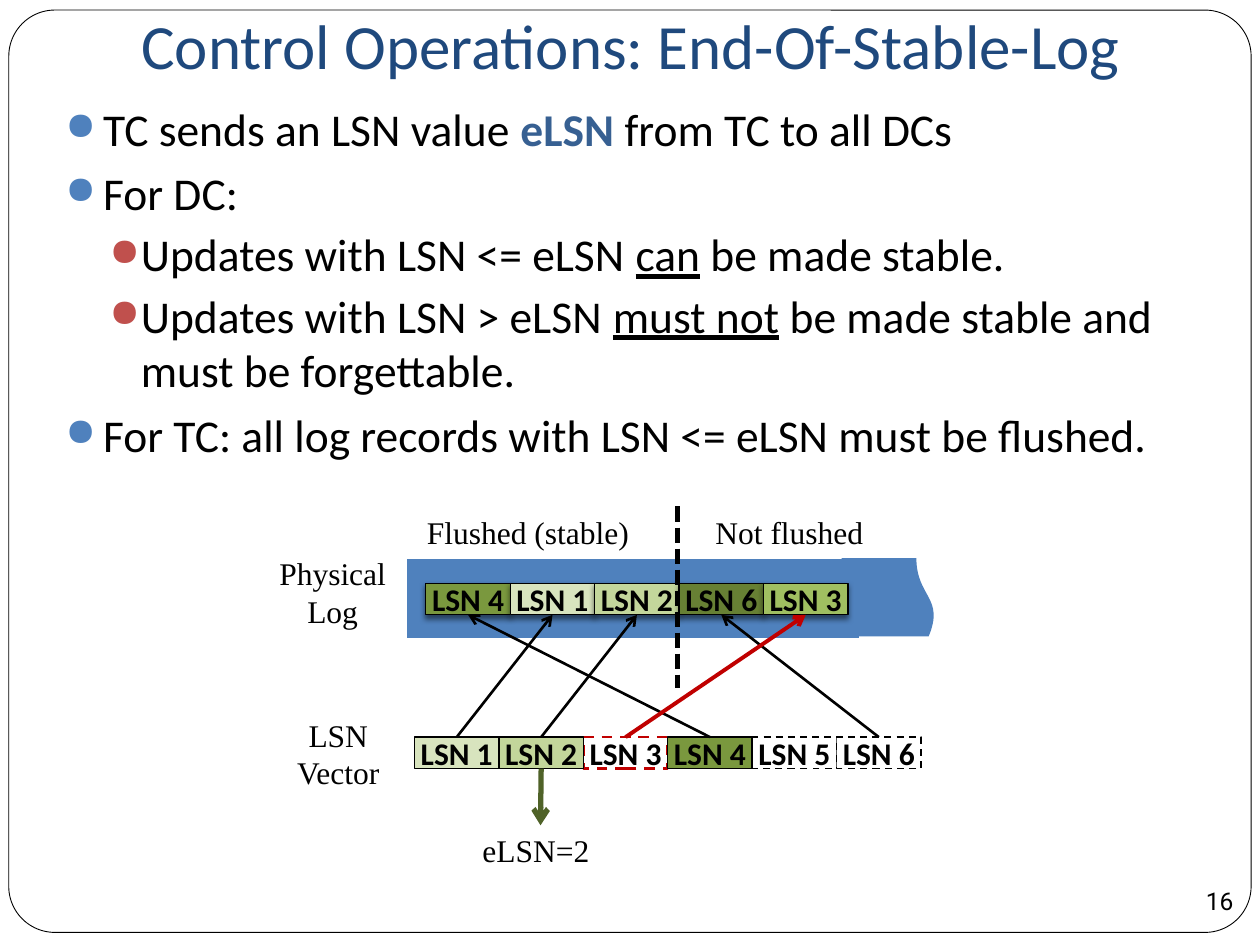
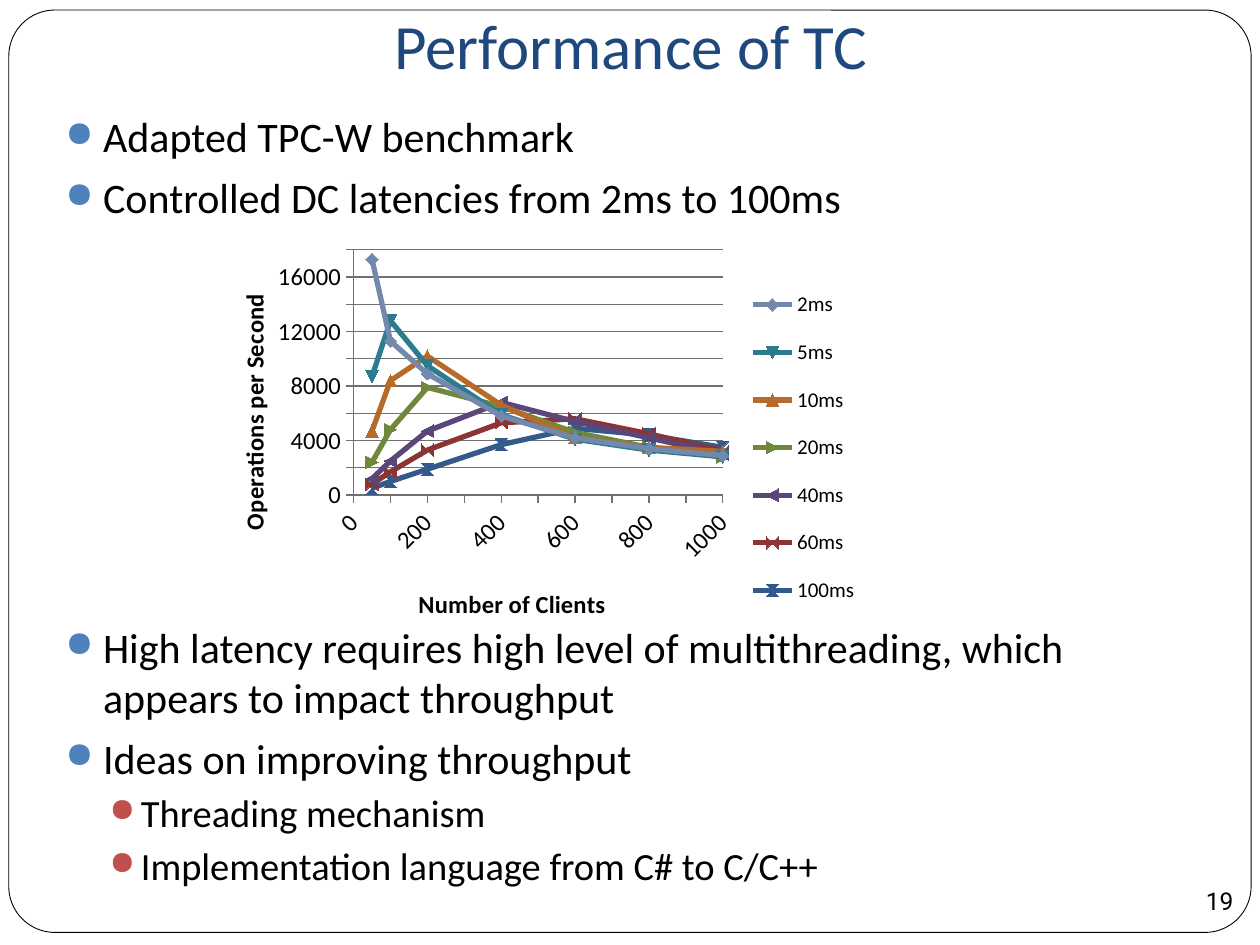
from lxml.etree import SubElement
from pptx import Presentation
from pptx.chart.data import XyChartData
from pptx.dml.color import RGBColor
from pptx.enum.chart import XL_CHART_TYPE, XL_LEGEND_POSITION, XL_MARKER_STYLE, XL_TICK_MARK
from pptx.enum.dml import MSO_LINE
from pptx.enum.shapes import MSO_CONNECTOR, MSO_SHAPE
from pptx.enum.text import MSO_ANCHOR, PP_ALIGN
from pptx.oxml import parse_xml
from pptx.oxml.ns import nsdecls, qn
from pptx.util import Inches, Pt

COLORS = {
    "white": "FFFFFF", "black": "000000", "title": "1F497D", "term": "376092",
    "blue": "4F81BD", "red": "C0504D", "alert": "C00000", "stable": "4F6228",
    "grid": "707070", "lsn1": "D8E4BE", "lsn2": "C3D69B", "lsn3": "A0BF61",
    "lsn4": "7A983E", "lsn6": "678034",
    "2ms": "7288AC", "5ms": "2C7C8F", "10ms": "B66A2B", "20ms": "70883C",
    "40ms": "5B4679", "60ms": "8C3434", "100ms": "345A8C",
}
BODY_FONT, NUMBER_FONT, LABEL_FONT = "Calibri", "Roboto", "Times New Roman"
CELL_W, CELL_H = 0.67, 0.25
BULLETS = [(0.3, -0.3, 5.8, "blue"), (0.6, -0.25, 3.7, "red")]

CLIENTS = [50, 100, 200, 400, 600, 800, 1000]
THROUGHPUT = {
    "2ms": [17300, 11300, 8900, 5800, 4200, 3400, 2900],
    "5ms": [8700, 12800, 9500, 5900, 4100, 3300, 2800],
    "10ms": [4700, 8400, 10200, 6600, 4200, 3500, 3200],
    "20ms": [2400, 4800, 7900, 6500, 4600, 3500, 2800],
    "40ms": [1200, 2500, 4700, 6800, 5400, 4200, 3000],
    "60ms": [800, 1700, 3300, 5300, 5600, 4500, 3200],
    "100ms": [500, 1000, 1900, 3700, 4900, 4400, 3500],
}


def rgb(name):
    """Return a palette colour."""
    return RGBColor.from_string(COLORS[name])


def add_run(paragraph, text, size, font=BODY_FONT, color="black", bold=False, underline=False):
    """Append one formatted run."""
    run = paragraph.add_run()
    run.text = text
    run.font.size = Pt(size)
    run.font.name = font
    run.font.bold = bold
    run.font.underline = underline
    run.font.color.rgb = rgb(color)


def add_box(slide, preset, left, top, width, height, fill=None, line=None, weight=0.75):
    """Add a flat preset shape without margins."""
    box = slide.shapes.add_shape(preset, Inches(left), Inches(top), Inches(width), Inches(height))
    box.shadow.inherit = False
    if fill:
        box.fill.solid()
        box.fill.fore_color.rgb = rgb(fill)
    else:
        box.fill.background()
    if line:
        box.line.color.rgb = rgb(line)
        box.line.width = Pt(weight)
    else:
        box.line.fill.background()
    frame = box.text_frame
    frame.margin_left = frame.margin_right = frame.margin_top = frame.margin_bottom = 0
    frame.vertical_anchor = MSO_ANCHOR.MIDDLE
    frame.paragraphs[0].alignment = PP_ALIGN.CENTER
    return box


def add_text_box(slide, left, top, width, height, wrap=True):
    """Add an empty text box."""
    box = slide.shapes.add_textbox(Inches(left), Inches(top), Inches(width), Inches(height))
    box.text_frame.word_wrap = wrap
    return box


def add_label(slide, text, left, top, width, height=0.4, wrap=False):
    """Add a serif diagram label, centred when it wraps."""
    label = add_text_box(slide, left, top, width, height, wrap)
    paragraph = label.text_frame.paragraphs[0]
    paragraph.alignment = PP_ALIGN.CENTER if wrap else PP_ALIGN.LEFT
    add_run(paragraph, text, 18, LABEL_FONT)
    return label


def add_line(slide, start, end, color="black", weight=1.5, arrow=True):
    """Draw a straight line between two (x, y) points."""
    points = [Inches(value) for value in (*start, *end)]
    line = slide.shapes.add_connector(MSO_CONNECTOR.STRAIGHT, *points)
    line.line.color.rgb = rgb(color)
    line.line.width = Pt(weight)
    if arrow:
        SubElement(line.line._get_or_add_ln(), qn("a:tailEnd"), type="arrow")
    SubElement(line._element.spPr, qn("a:effectLst"))
    return line


def join(slide, source, source_side, target, target_side, **style):
    """Draw an arrow joined to two shapes."""
    arrow = add_line(slide, (0, 0), (1, 1), **style)
    arrow.begin_connect(source, source_side)
    arrow.end_connect(target, target_side)


def add_bullets(slide, left, top, width, height, items):
    """Fill a text box with (level, size, runs) bullet items."""
    frame = add_text_box(slide, left, top, width, height).text_frame
    for index, (level, size, runs) in enumerate(items):
        paragraph = frame.add_paragraph() if index else frame.paragraphs[0]
        margin, indent, before, color = BULLETS[level]
        properties = paragraph._p.get_or_add_pPr()
        properties.set("marL", str(Inches(margin)))
        properties.set("indent", str(Inches(indent)))
        SubElement(SubElement(properties, qn("a:buClr")), qn("a:srgbClr"), val=COLORS[color])
        SubElement(properties, qn("a:buSzPct"), val="85000")
        SubElement(properties, qn("a:buChar"), char="●")
        paragraph.level = level
        paragraph.space_before = Pt(before if index else 0)
        for text, style in runs:
            add_run(paragraph, text, size, **style)


def add_base_slide(deck, title, number):
    """Add a slide with the shared frame, title and page number."""
    slide = deck.slides.add_slide(deck.slide_layouts[6])
    frame = add_box(slide, MSO_SHAPE.ROUNDED_RECTANGLE, 0.07, 0.08, 9.86, 7.32, "white", "black", 0.5)
    frame.adjustments[0] = 0.05
    heading = add_text_box(slide, 0.42, 0.08, 9.17, 0.67).text_frame
    heading.vertical_anchor = MSO_ANCHOR.BOTTOM
    heading.margin_bottom = Inches(0.1)
    heading.paragraphs[0].alignment = PP_ALIGN.CENTER
    add_run(heading.paragraphs[0], title, 36, color="title")
    page = add_box(slide, MSO_SHAPE.OVAL, 9.43, 6.9, 0.5, 0.5)
    page.text_frame.word_wrap = False
    add_run(page.text_frame.paragraphs[0], number, 14, NUMBER_FONT)
    return slide


def add_cell(slide, lsn, left, top, fill, line="black", weight=0.75, dashed=False):
    """Add one LSN record cell."""
    cell = add_box(slide, MSO_SHAPE.RECTANGLE, left, top, CELL_W, CELL_H, fill, line, weight)
    if dashed:
        cell.line.dash_style = MSO_LINE.DASH
    add_run(cell.text_frame.paragraphs[0], f"LSN {lsn}", 18, bold=True)
    return cell


def add_cell_shadow(cell):
    """Give a cell a soft shadow below."""
    effects = cell._element.spPr.find(qn("a:effectLst"))
    shadow = SubElement(effects, qn("a:outerShdw"), blurRad=str(Pt(3)), dist=str(Pt(2)),
                        dir="5400000", rotWithShape="0")
    color = SubElement(shadow, qn("a:srgbClr"), val=COLORS["black"])
    SubElement(color, qn("a:alpha"), val="50000")


def add_physical_log(slide, left, top):
    """Draw the log band with its records and return the cells by LSN."""
    torn_end = add_box(slide, MSO_SHAPE.FLOWCHART_DOCUMENT, left + 3.51, top - 0.07, 0.62, 0.74, "blue")
    torn_end.rotation = 270
    add_box(slide, MSO_SHAPE.FLOWCHART_PROCESS, left, top, 3.59, 0.62, "blue")
    cells = {}
    for index, lsn in enumerate([4, 1, 2, 6, 3]):
        cells[lsn] = add_cell(slide, lsn, left + 0.15 + index * CELL_W, top + 0.19, f"lsn{lsn}")
        add_cell_shadow(cells[lsn])
    boundary = add_line(slide, (left + 2.15, top - 0.42), (left + 2.15, top + 1.02), weight=3, arrow=False)
    boundary.line.dash_style = MSO_LINE.SQUARE_DOT
    add_label(slide, "Flushed (stable)", left + 0.06, top - 0.42, 2.01)
    add_label(slide, "Not flushed", left + 2.35, top - 0.42, 1.48)
    add_label(slide, "Physical Log", left - 1.18, top - 0.09, 1.18, 0.71, True)
    return cells


def add_lsn_vector(slide, left, top):
    """Draw the LSN vector and return its cells by LSN."""
    pending = {"fill": "white", "weight": 1, "dashed": True}
    styles = {
        3: {"fill": "white", "line": "alert", "weight": 1.5, "dashed": True},
        5: pending, 6: pending,
        1: {"fill": "lsn1"}, 2: {"fill": "lsn2"}, 4: {"fill": "lsn4"},
    }
    cells = {lsn: add_cell(slide, lsn, left + (lsn - 1) * CELL_W, top, **style)
             for lsn, style in styles.items()}
    add_label(slide, "LSN Vector", left - 1.12, top - 0.22, 1.03, 0.71, True)
    stable_mark = add_label(slide, "eLSN=2", left + 0.44, top + 0.7, 1.12)
    join(slide, cells[2], 2, stable_mark, 0, color="stable", weight=3)
    return cells


def add_log_diagram(slide, left, top):
    """Link the LSN vector to the physical log."""
    log = add_physical_log(slide, left, top)
    vector = add_lsn_vector(slide, left + 0.06, top + 1.41)
    for lsn, record in log.items():
        style = {"color": "alert", "weight": 2.25} if lsn == 3 else {}
        join(slide, vector[lsn], 0, record, 2, **style)


def set_layout(element, position, x, y, w=None, h=None, inner=False):
    """Place a chart part by fractions of the chart area."""
    for old in element.findall(qn("c:layout")):
        element.remove(old)
    target = '<c:layoutTarget val="inner"/>' if inner else ""
    sizes = "".join(f'<c:{key} val="{value}"/>'
                    for key, value in (("x", x), ("y", y), ("w", w), ("h", h)) if value is not None)
    modes = '<c:xMode val="edge"/><c:yMode val="edge"/>'
    element.insert(position, parse_xml(
        f'<c:layout {nsdecls("c")}><c:manualLayout>{target}{modes}{sizes}</c:manualLayout></c:layout>'))


def style_axis(axis, title, maximum, step, title_x, title_y):
    """Scale and title one axis."""
    axis.minimum_scale, axis.maximum_scale, axis.major_unit = 0, maximum, step
    axis.major_tick_mark, axis.minor_tick_mark = XL_TICK_MARK.OUTSIDE, XL_TICK_MARK.NONE
    axis.format.line.color.rgb = rgb("grid")
    axis.tick_labels.font.size = Pt(14)
    axis.tick_labels.number_format = "General"
    axis.tick_labels.number_format_is_linked = False
    add_run(axis.axis_title.text_frame.paragraphs[0], title, 14, bold=True)
    set_layout(axis.axis_title._element, 1, title_x, title_y)


def add_throughput_chart(slide, left, top, width, height):
    """Plot operations per second against clients for each latency."""
    data = XyChartData()
    for latency, rates in THROUGHPUT.items():
        series = data.add_series(latency)
        for clients, rate in zip(CLIENTS, rates):
            series.add_data_point(clients, rate)
    chart = slide.shapes.add_chart(XL_CHART_TYPE.XY_SCATTER_LINES, Inches(left), Inches(top),
                                   Inches(width), Inches(height), data).chart
    chart.has_title = False
    chart.font.name, chart.font.size = BODY_FONT, Pt(14)
    chart.font.color.rgb = rgb("black")
    chart.plots[0].vary_by_categories = False
    for series in chart.plots[0].series:
        series.smooth = False
        series.format.line.width = Pt(3)
        series.format.line.color.rgb = rgb(series.name)
        series.marker.style, series.marker.size = XL_MARKER_STYLE.AUTOMATIC, 7
        series.marker.format.fill.solid()
        series.marker.format.fill.fore_color.rgb = rgb(series.name)
        series.marker.format.line.color.rgb = rgb(series.name)
    clients_axis, rate_axis = chart.category_axis, chart.value_axis
    style_axis(clients_axis, "Number of Clients", 1000, 100, 0.32, 0.86)
    style_axis(rate_axis, "Operations per Second", 18000, 2000, 0.05, 0.12)
    clients_axis.has_major_gridlines = False
    rate_axis.has_major_gridlines = True
    rate_axis.major_gridlines.format.line.color.rgb = rgb("grid")
    clients_axis._element.find(qn("c:txPr")).find(qn("a:bodyPr")).set("rot", "-2700000")
    chart.has_legend = True
    chart.legend.position = XL_LEGEND_POSITION.RIGHT
    chart.legend.include_in_layout = False
    chart.legend.font.size = Pt(12)
    set_layout(chart.legend._element, 1, 0.8, 0.07, 0.2, 0.9)
    set_layout(chart._chartSpace.chart.plotArea, 0, 0.23, 0.02, 0.55, 0.62, inner=True)


def build_stable_log_slide(deck):
    """Build the End-Of-Stable-Log slide."""
    slide = add_base_slide(deck, "Control Operations: End-Of-Stable-Log", "16")
    add_bullets(slide, 0.42, 0.75, 9.17, 3, [
        (0, 26, [("TC sends an LSN value ", {}), ("eLSN ", {"color": "term", "bold": True}),
                 ("from TC to all DCs", {})]),
        (0, 26, [("For DC:", {})]),
        (1, 26, [("Updates with LSN <= eLSN ", {}), ("can", {"underline": True}),
                 (" be made stable.", {})]),
        (1, 26, [("Updates with LSN > eLSN ", {}), ("must not", {"underline": True}),
                 (" be made stable and must be forgettable.", {})]),
        (0, 26, [("For TC: all log records with LSN <= eLSN must be flushed.", {})]),
    ])
    add_log_diagram(slide, 3.23, 4.44)


def build_performance_slide(deck):
    """Build the TC performance slide."""
    slide = add_base_slide(deck, "Performance of TC", "19")
    add_bullets(slide, 0.42, 0.83, 9.17, 1.05, [
        (0, 24, [("Adapted TPC-W benchmark", {})]),
        (0, 24, [("Controlled DC latencies from 2ms to 100ms", {})]),
    ])
    add_throughput_chart(slide, 1.58, 1.92, 5.33, 3.14)
    add_bullets(slide, 0.42, 4.88, 9.17, 2.37, [
        (0, 24, [("High latency requires high level of multithreading, which appears to impact throughput", {})]),
        (0, 24, [("Ideas on improving throughput", {})]),
        (1, 22, [("Threading mechanism", {})]),
        (1, 22, [("Implementation language from C# to C/C++", {})]),
    ])


def main():
    """Build and save the deck."""
    deck = Presentation()
    deck.slide_width, deck.slide_height = Inches(10), Inches(7.5)
    build_stable_log_slide(deck)
    build_performance_slide(deck)
    deck.save("out.pptx")


if __name__ == "__main__":
    main()
